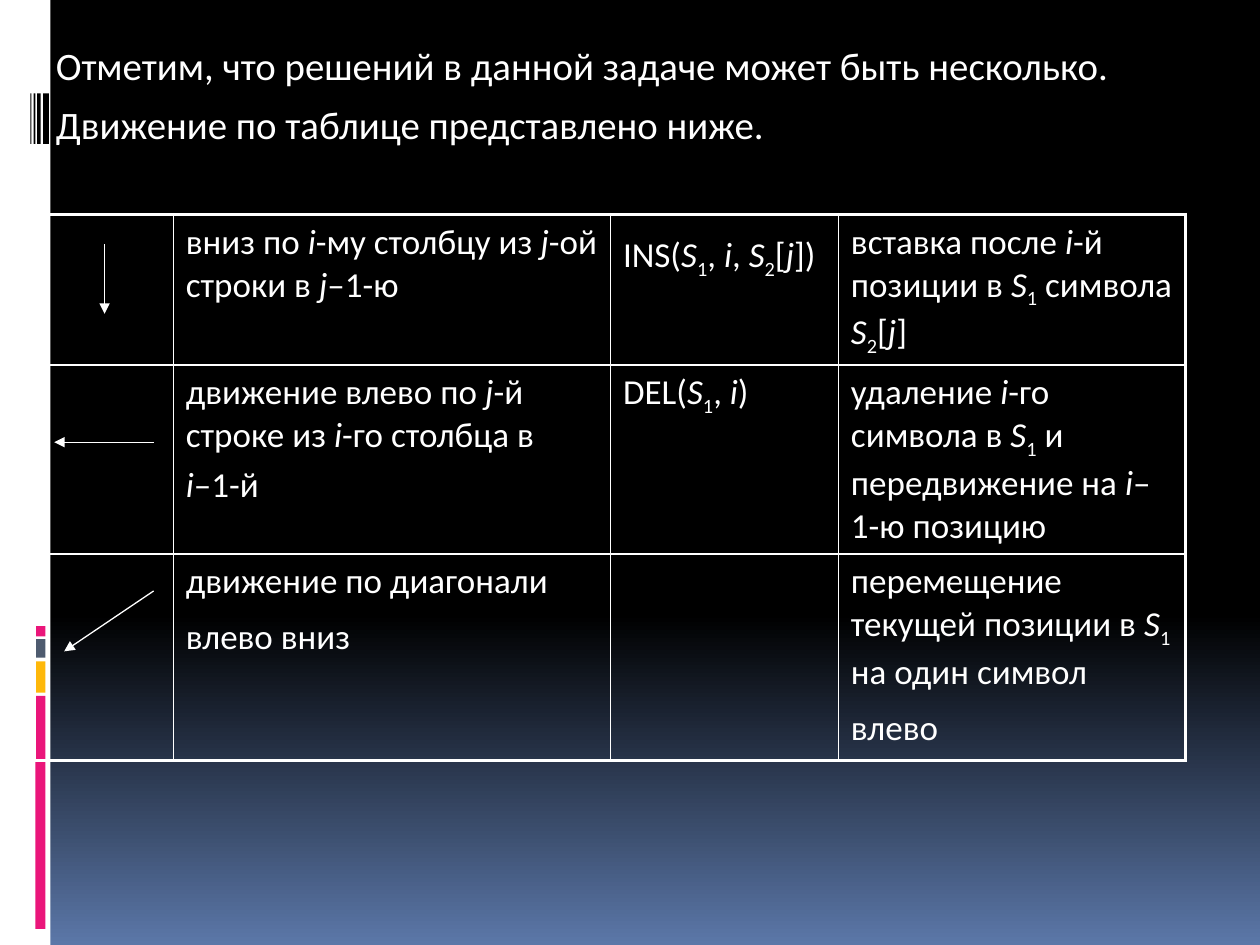
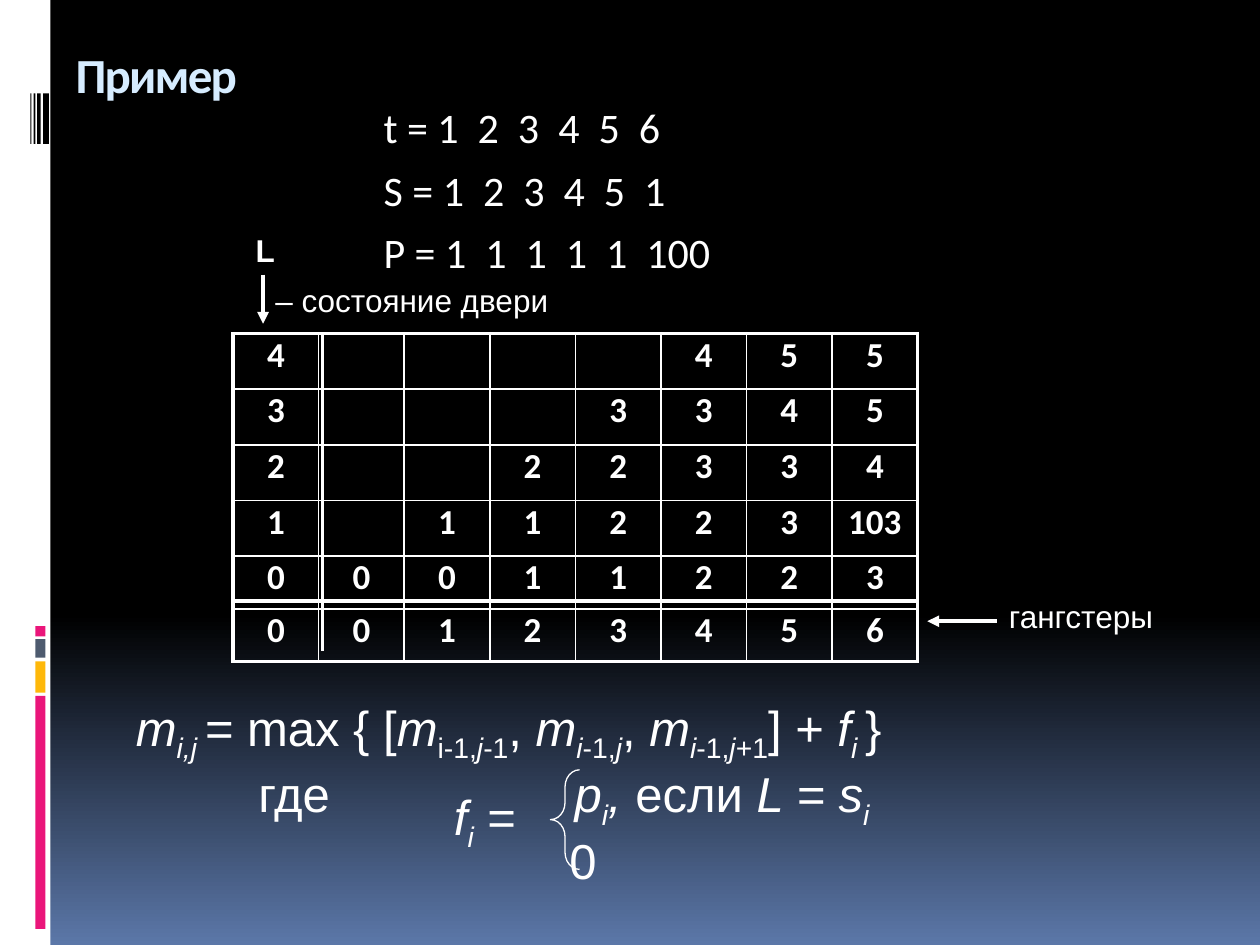
from dataclasses import dataclass, field
from typing import Any

from lxml import etree
from pptx import Presentation
from pptx.dml.color import RGBColor
from pptx.enum import shapes, text
from pptx.oxml import ns
from pptx.util import Pt

COLORS = {
    "white": "FFFFFF",
    "black": "000000",
    "sky": "5B77A8",
    "title": "D6ECFF",
    "pink": "EA157A",
    "amber": "FEB80A",
    "slate": "4E5B6F",
}
SLIDE_WIDTH, SLIDE_HEIGHT = 720, 540
THICK, MEDIUM, THIN = 2.25, 1, 0.75
LARGE_SPACE = Pt(28)
MARKS = {"*": "italic", "~": "subscript", "#": "large"}


@dataclass(frozen=True)
class Box:
    left: float
    top: float
    width: float
    height: float

    def lengths(self) -> list[int]:
        return [Pt(value) for value in (self.left, self.top, self.width, self.height)]


@dataclass(frozen=True)
class Bar:
    box: Box
    color: str


@dataclass(frozen=True)
class Line:
    start: tuple[float, float]
    end: tuple[float, float]
    width: float = THIN
    arrow: bool = True


@dataclass(frozen=True)
class TextStyle:
    size: float
    name: str = "Calibri"
    color: str = "white"
    bold: bool = False
    paragraph: dict[str, Any] = field(default_factory=dict)
    space_between: float = 0


@dataclass(frozen=True)
class Label:
    box: Box
    content: str
    style: TextStyle


@dataclass(frozen=True)
class Grid:
    left: float
    top: float
    columns: list[float]
    rows: list[float]
    cells: list[list[str]]
    style: TextStyle


BARS = [
    Bar(Box(0, 0, 28.8, SLIDE_HEIGHT), "white"),
    *[Bar(Box(20.2, top, 5.8, height), color) for top, height, color in [
        (397.6, 133.2, "pink"), (378, 17.8, "amber"),
        (365.2, 10.7, "slate"), (357.8, 5.8, "pink")]],
    *[Bar(Box(left, 53.4, width, 28.8), "black") for left, width in [
        (24.6, 3.4), (21.2, 2), (19.3, 0.9), (17.4, 0.6)]],
]
MOVE_STYLE = TextStyle(20, space_between=4)
NUMBER_STYLE = TextStyle(20, bold=True, paragraph={
    "alignment": text.PP_ALIGN.CENTER, "line_spacing": 0.8})
LABEL_STYLE = TextStyle(18, "Arial")
FORMULA_STYLE = TextStyle(28, "Arial")

MOVES = Grid(19.8, 122.6, [79.2, 249.8, 130.3, 198.4], [86, 107.5, 118], [
    ["", "вниз по *i*-му столбцу из *j*-ой строки в *j*–1-ю",
     "INS(*S*~1~, *i*, *S*~2~[*j*])# #",
     "вставка после *i*-й позиции в *S*~1~ символа *S*~2~[*j*]"],
    ["", "движение влево по *j*-й строке из *i*-го столбца в\n*i*–1-й",
     "DEL(*S*~1~, *i*)",
     "удаление *i*-го символа в *S*~1~ и передвижение на *i*–1-ю позицию"],
    ["", "движение по диагонали влево вниз# #", "",
     "перемещение текущей позиции в *S*~1~ на один символ влево# #"],
], MOVE_STYLE)
MOVE_ARROWS = [
    Line((59.8, 139.7), (59.8, 179.3)),
    Line((87.8, 252.7), (31, 252.7)),
    Line((87.8, 337.7), (36.7, 372.2)),
]

DOOR_ROWS = [
    ["4", "", "", "", "", "4", "5", "5"],
    ["3", "", "", "", "3", "3", "4", "5"],
    ["2", "", "", "2", "2", "3", "3", "4"],
    ["1", "", "1", "1", "2", "2", "3", "103"],
    ["0", "0", "0", "1", "1", "2", "2", "3"],
    ["0", "0", "1", "2", "3", "4", "5", "6"],
]
DOORS = Grid(133.2, 190.6, [48.9] * 8, [31.8] * 4 + [30.2] * 2, DOOR_ROWS, NUMBER_STYLE)
DOOR_LINES = [
    Line((569.5, 355), (529.9, 355), THICK),
    Line((150.3, 157), (150.3, 185), THICK),
    Line((184.3, 190.8), (184.3, 372.2), THICK, arrow=False),
    Line((133.2, 343.6), (524.2, 343.6), THICK, arrow=False),
]
FORMULA_TOP, CASES_TOP = 394.8, 433
LABELS = [
    Label(Box(569.5, 337.9, 97.9, 28.8), "гангстеры", LABEL_STYLE),
    Label(Box(139, 128.2, 25.2, 28.8), "L", TextStyle(18, "Arial", bold=True)),
    Label(Box(150.3, 156.8, 170.6, 28.8), "– состояние двери", LABEL_STYLE),
    Label(Box(70.6, FORMULA_TOP, 499, 41),
          "*m~i,j ~*= max { [*m*~i-1,*j*-1~, *m~i~*~-1,*j*~, *m~i~*~-1,*j*+1~] + *f~i ~*}",
          FORMULA_STYLE),
    Label(Box(140.6, CASES_TOP, 56, 41), "где", FORMULA_STYLE),
    Label(Box(252.3, 445.7, 51.1, 41), "*f~i~* =", FORMULA_STYLE),
]
CASES = Label(Box(318.3, CASES_TOP, 251.3, 80),
              "*p~i~,* если *L = s~i~*\n0", FORMULA_STYLE)
FIRST_CASE_INDENT = 3


def apply(target: Any, values: dict[str, Any]) -> None:
    for name, value in values.items():
        setattr(target, name, value)


def rgb(color: str) -> RGBColor:
    return RGBColor.from_string(COLORS[color])


def add_color(parent: Any, color: str) -> None:
    etree.SubElement(parent, ns.qn("a:srgbClr"), val=COLORS[color])


def add_run(paragraph: Any, content: str, style: TextStyle, marks: set[str]) -> None:
    run = paragraph.add_run()
    run.text = content
    apply(run.font, {
        "name": style.name,
        "size": LARGE_SPACE if "large" in marks else Pt(style.size),
        "bold": style.bold,
        "italic": "italic" in marks,
    })
    run.font.color.rgb = rgb(style.color)
    if "subscript" in marks:
        run.font._element.set("baseline", "-25000")


def write(frame: Any, content: str, style: TextStyle) -> None:
    """Write lines of text in which *, ~ and # switch italic, subscript and large size."""
    for index, line in enumerate(content.split("\n")):
        paragraph = frame.paragraphs[0] if index == 0 else frame.add_paragraph()
        apply(paragraph, style.paragraph)
        if index and style.space_between:
            paragraph.space_before = Pt(style.space_between)
        marks: set[str] = set()
        pending = ""
        for character in line:
            if character not in MARKS:
                pending += character
                continue
            if pending:
                add_run(paragraph, pending, style, marks)
            pending = ""
            marks ^= {MARKS[character]}
        if pending:
            add_run(paragraph, pending, style, marks)


def set_indent(paragraph: Any, margin: float, first_line: float) -> Any:
    properties = paragraph._p.get_or_add_pPr()
    properties.set("marL", str(Pt(margin)))
    properties.set("indent", str(Pt(first_line)))
    return properties


def place(placeholder: Any, label: Label) -> None:
    """Move a placeholder and fill it with text."""
    left, top, width, height = label.box.lengths()
    apply(placeholder, {"left": left, "top": top, "width": width, "height": height})
    apply(placeholder.text_frame, {
        "auto_size": text.MSO_AUTO_SIZE.NONE,
        "vertical_anchor": text.MSO_ANCHOR.TOP,
        "word_wrap": True,
    })
    write(placeholder.text_frame, label.content, label.style)


def place_body(slide: Any, box: Box, content: str, size: float) -> None:
    body = slide.placeholders[1]
    place(body, Label(box, content, TextStyle(size, space_between=7)))
    for paragraph in body.text_frame.paragraphs:
        etree.SubElement(set_indent(paragraph, 32.4, -27), ns.qn("a:buNone"))


def add_label(slide: Any, label: Label) -> Any:
    box = slide.shapes.add_textbox(*label.box.lengths())
    box.text_frame.word_wrap = False
    write(box.text_frame, label.content, label.style)
    return box


def add_line(slide: Any, line: Line) -> None:
    points = [Pt(value) for value in (*line.start, *line.end)]
    connector = slide.shapes.add_connector(shapes.MSO_CONNECTOR.STRAIGHT, *points)
    connector.line.width = Pt(line.width)
    connector.line.color.rgb = rgb("white")
    if line.arrow:
        etree.SubElement(connector.line._get_or_add_ln(), ns.qn("a:tailEnd"), type="triangle")
    etree.SubElement(connector.element.spPr, ns.qn("a:effectLst"))


def add_borders(cell: Any, outer_sides: dict[str, bool]) -> None:
    properties = cell._tc.get_or_add_tcPr()
    for side, outer in outer_sides.items():
        width = Pt(THICK if outer else MEDIUM)
        border = etree.SubElement(properties, ns.qn(f"a:ln{side}"), w=str(width))
        add_color(etree.SubElement(border, ns.qn("a:solidFill")), "white")


def add_grid(slide: Any, grid: Grid) -> None:
    """Draw a table with a thick frame and thin inner lines."""
    box = Box(grid.left, grid.top, sum(grid.columns), sum(grid.rows))
    table = slide.shapes.add_table(len(grid.rows), len(grid.columns), *box.lengths()).table
    apply(table, {"first_row": False, "horz_banding": False})
    for column, width in zip(table.columns, grid.columns):
        column.width = Pt(width)
    for row, height in zip(table.rows, grid.rows):
        row.height = Pt(height)
    last_row, last_column = len(grid.rows) - 1, len(grid.columns) - 1
    for row_index, contents in enumerate(grid.cells):
        for column_index, content in enumerate(contents):
            cell = table.cell(row_index, column_index)
            add_borders(cell, {
                "L": column_index == 0, "R": column_index == last_column,
                "T": row_index == 0, "B": row_index == last_row,
            })
            cell.fill.background()
            write(cell.text_frame, content, grid.style)


def decorate_master(presentation: Any, slide: Any) -> None:
    """Give the master its gradient and its side bars, drawn by way of a slide."""
    master = presentation.slide_master
    fill = master.background.fill
    fill.gradient()
    fill.gradient_angle = 270
    stops = master.element.find(f".//{ns.qn('a:gsLst')}")
    stops.clear()
    for position, color in [(0, "black"), (65, "black"), (100, "sky")]:
        add_color(etree.SubElement(stops, ns.qn("a:gs"), pos=str(position * 1000)), color)
    for index, bar in enumerate(BARS):
        shape = slide.shapes.add_shape(shapes.MSO_SHAPE.RECTANGLE, *bar.box.lengths())
        shape.shadow.inherit = False
        shape.fill.solid()
        shape.fill.fore_color.rgb = rgb(bar.color)
        shape.line.fill.background()
        shape.element.nvSpPr.cNvPr.set("id", str(100 + index))
        master.shapes.element.insert(2 + index, shape.element)


def build_moves(slide: Any) -> None:
    title = slide.shapes.title.element
    title.getparent().remove(title)
    place_body(slide, Box(19.4, 20.2, 668.9, 73.4),
               "Отметим, что решений в данной задаче может быть несколько.\n"
               "Движение по таблице представлено ниже.", 22.2)
    add_grid(slide, MOVES)
    for arrow in MOVE_ARROWS:
        add_line(slide, arrow)


def build_example(slide: Any) -> None:
    title_style = TextStyle(28, color="title", bold=True,
                            paragraph={"alignment": text.PP_ALIGN.LEFT})
    place(slide.shapes.title, Label(Box(36, 21.6, 648, 90), "Пример", title_style))
    slide.shapes.title.text_frame.paragraphs[0].runs[0].font._element.set("spc", "-100")
    place_body(slide, Box(206.6, 54.4, 374.4, 118.8),
               "t = 1  2  3  4  5  6\nS = 1  2  3  4  5  1\nP = 1  1  1  1  1  100", 24)
    add_grid(slide, DOORS)
    for line in DOOR_LINES:
        add_line(slide, line)
    for label in LABELS:
        add_label(slide, label)
    cases = add_label(slide, CASES)
    set_indent(cases.text_frame.paragraphs[0], 0, FIRST_CASE_INDENT)
    brace = slide.shapes.add_shape(shapes.MSO_SHAPE.LEFT_BRACE,
                                   *Box(314.6, 439.9, 16.6, 56.9).lengths())
    brace.shadow.inherit = False
    brace.adjustments[0] = 0.585
    brace.fill.background()
    brace.line.color.rgb = rgb("white")
    brace.line.width = Pt(THIN)


def main() -> None:
    presentation = Presentation()
    apply(presentation, {"slide_width": Pt(SLIDE_WIDTH), "slide_height": Pt(SLIDE_HEIGHT)})
    layout = presentation.slide_layouts[1]
    moves, example = [presentation.slides.add_slide(layout) for _ in range(2)]
    decorate_master(presentation, moves)
    build_moves(moves)
    build_example(example)
    presentation.save("out.pptx")


if __name__ == "__main__":
    main()
